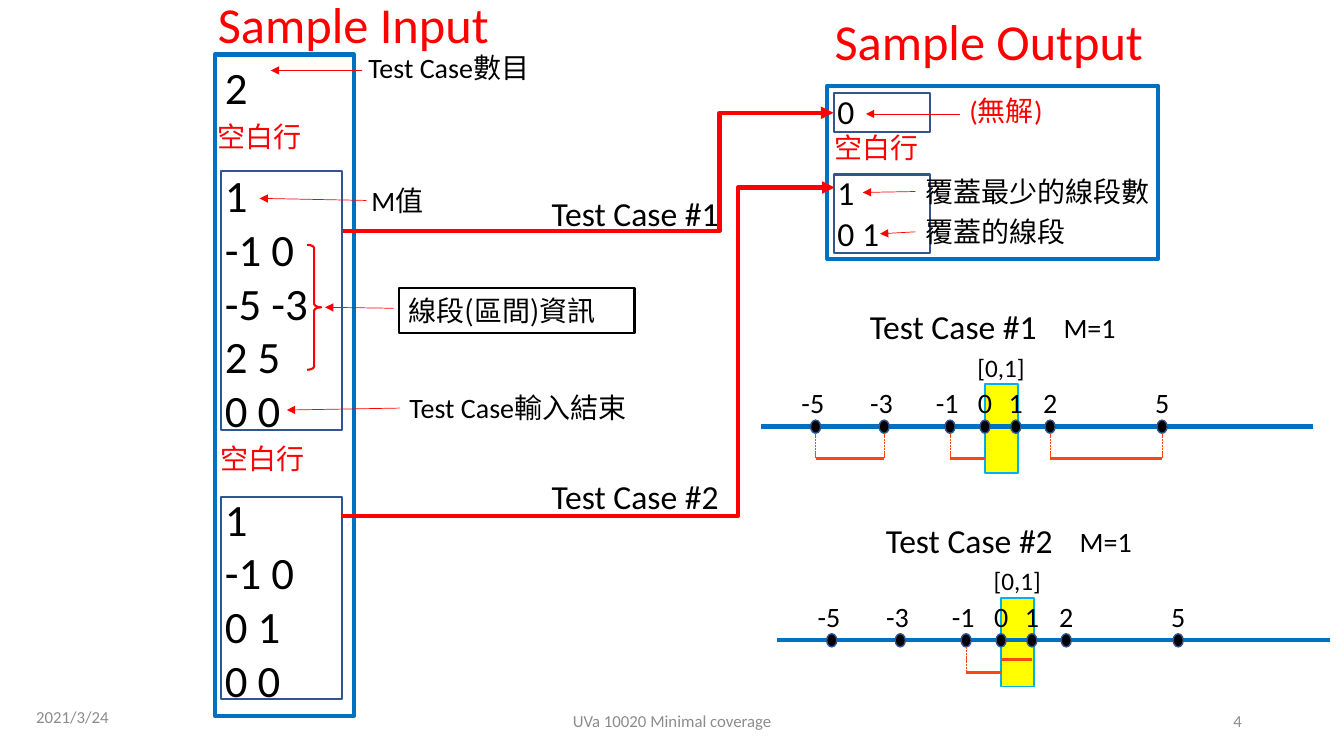
from lxml.etree import SubElement
from pptx import Presentation
from pptx.dml.color import RGBColor
from pptx.enum.dml import MSO_LINE
from pptx.enum.shapes import MSO_CONNECTOR as Link, MSO_SHAPE as Preset
from pptx.enum.text import MSO_ANCHOR as Anchor, MSO_AUTO_SIZE as AutoSize, PP_ALIGN as Align
from pptx.oxml.ns import qn
from pptx.util import Pt

BLACK = RGBColor(0x00, 0x00, 0x00)
RED = RGBColor(0xFF, 0x00, 0x00)
BLUE = RGBColor(0x00, 0x70, 0xC0)
NAVY = RGBColor(0x32, 0x54, 0x91)
ORANGE = RGBColor(0xF7, 0x48, 0x11)
YELLOW = RGBColor(0xFF, 0xFF, 0x00)
CYAN = RGBColor(0x00, 0xB0, 0xF0)
GRAY = RGBColor(0x8C, 0x8C, 0x8C)
LATIN, CJK = "Calibri", "Noto Sans CJK SC"

# Distance of each marked value from the left end of a number line
TICKS = {-5: 39, -3: 88, -1: 135, 0: 160, 1: 182, 2: 206.5, 5: 286.5}


def place(part, x, y, w, h):
    part.left, part.top, part.width, part.height = Pt(x), Pt(y), Pt(w), Pt(h)


def add_run(paragraph, text, size, color):
    run = paragraph.add_run()
    run.text = text
    font = run.font
    font.size, font.bold = Pt(size), False
    font.color.rgb = color
    font.name = CJK if ord(text[0]) > 0x2E7F else LATIN
    SubElement(run._r.get_or_add_rPr(), qn("a:ea"), typeface=CJK)


def write(frame, runs, size, color, align=Align.LEFT, anchor=Anchor.TOP):
    frame.word_wrap = True
    frame.auto_size = AutoSize.NONE
    frame.vertical_anchor = anchor
    paragraph = frame.paragraphs[0]
    paragraph.alignment = align
    for text in runs:
        add_run(paragraph, text, size, color)


def add_text(slide, x, y, w, h, runs, size=20, color=BLACK, **layout):
    label = slide.shapes.add_textbox(Pt(x), Pt(y), Pt(w), Pt(h))
    write(label.text_frame, runs, size, color, **layout)
    return label


def outline(part, color, width):
    part.line.color.rgb = color
    part.line.width = Pt(width)


def add_preset(slide, preset, x, y, w, h, color, width, fill=None):
    part = slide.shapes.add_shape(preset, Pt(x), Pt(y), Pt(w), Pt(h))
    part.shadow.inherit = False
    outline(part, color, width)
    if fill is None:
        part.fill.background()
    else:
        part.fill.solid()
        part.fill.fore_color.rgb = fill
    return part


def add_line(slide, x1, y1, x2, y2, color=RED, width=0.5, arrow=False, dashed=False, bend=None):
    kind = Link.STRAIGHT if bend is None else Link.ELBOW
    line = slide.shapes.add_connector(kind, Pt(x1), Pt(y1), Pt(x2), Pt(y2))
    outline(line, color, width)
    if dashed:
        line.line.dash_style = MSO_LINE.SQUARE_DOT
    properties = line._element.spPr
    if arrow:
        SubElement(properties.find(qn("a:ln")), qn("a:tailEnd"), type="triangle")
    if bend is not None:
        share = round((bend - x1) / (x2 - x1) * 100000)
        guides = properties.find(qn("a:prstGeom")).find(qn("a:avLst"))
        SubElement(guides, qn("a:gd"), name="adj1", fmla=f"val {share}")
    SubElement(properties, qn("a:effectLst"))


def fill_list(body, rows, size, gap):
    """Rows without bullets; each new block of rows starts after a gap."""
    frame = body.text_frame
    frame.word_wrap = True
    frame.auto_size = AutoSize.NONE
    frame.vertical_anchor = Anchor.TOP
    first = True
    for block in rows:
        for i, text in enumerate(block):
            paragraph = frame.paragraphs[0] if first else frame.add_paragraph()
            properties = paragraph._p.get_or_add_pPr()
            properties.set("marL", "0")
            properties.set("indent", "0")
            SubElement(properties, qn("a:buNone"))
            paragraph.space_before = Pt(gap if i == 0 and not first else 0)
            add_run(paragraph, text, size, BLACK)
            first = False
    outline(body, BLUE, 3)


def sample_input(slide, title, body, x, y, w, h):
    place(title, x - 5, y - 47.6, 223, 51)
    write(title.text_frame, ["Sample Input"], 36, RED)
    place(body, x, y, w, h)
    fill_list(body, [["2"], ["1", "-1 0", "-5 -3", "2 5", "0 0"],
                     ["1", "-1 0", "0 1", "0 0"]], 32, 39)
    # Frames around the two test cases
    for top, height in ((83.4, 185), (316, 144.7)):
        add_preset(slide, Preset.RECTANGLE, x + 4.7, y + top, 86.4, height, NAVY, 1.5)
    brace = add_preset(slide, Preset.RIGHT_BRACE, x + 66, y + 136, 10, 89.3, RED, 1.5)
    brace.adjustments[0] = 0.24
    # Notes
    add_text(slide, x + 102.6, y - 6.6, 137, 32, ["Test Case", "數目"])
    add_text(slide, x + 104.8, y + 88.4, 54.7, 32, ["M", "值"])
    segments = add_text(slide, x + 131.4, y + 167, 168.5, 31.7, ["線段(區間)資訊"])
    outline(segments, BLACK, 1.5)
    add_text(slide, x + 132, y + 236.8, 171.4, 32, ["Test Case", "輸入結束"])
    for left, top in ((-5, 43), (-3, 272.8)):
        add_text(slide, x + left, y + top, 79, 32, ["空白行"], color=RED)
    for x1, y1, x2, y2 in ((105.5, 11.4, 40, 11.4), (108.4, 104.3, 32, 102.8),
                           (127.8, 181.3, 78.8, 180.6), (132, 252.6, 51.5, 254)):
        add_line(slide, x + x1, y + y1, x + x2, y + y2, arrow=True)


def sample_output(slide, body, x, y, w, h):
    add_text(slide, x - 2, y - 57.6, 245, 51, ["Sample Output"], 36, RED)
    place(body, x, y, w, h)
    fill_list(body, [["0"], ["1", "0 1"]], 24, 29.3)
    # Frames around the two answers
    for top, height in ((5, 28), (63.4, 56.2)):
        add_preset(slide, Preset.RECTANGLE, x + 4.7, y + top, 68.4, height, NAVY, 1.5)
    # Notes
    add_text(slide, x + 94.4, y + 2.2, 71.3, 32, ["(", "無解", ")"], color=RED)
    add_text(slide, x - 2, y + 28.8, 79, 32, ["空白行"], color=RED)
    add_text(slide, x + 62.8, y + 59.8, 178.6, 32, ["覆蓋最少的線段數"])
    add_text(slide, x + 62.8, y + 88.6, 168.5, 32, ["覆蓋的線段"])
    for x1, y1, x2, y2 in ((95, 20.2, 27.5, 20.2), (62.8, 75.6, 25.3, 76.3),
                           (62.8, 104.4, 37.6, 105.8)):
        add_line(slide, x + x1, y + y1, x + x2, y + y2, arrow=True)


def case_link(slide, name, x1, y1, x2, y2, bend, label_y):
    add_text(slide, 387, label_y, 135.4, 36, [name], 24)
    add_line(slide, x1, y1, x2, y2, width=3, arrow=True, bend=bend)


def number_line(slide, name, x, y, segments):
    """Segments are (start, end, drop below the axis, dashed ends)."""
    axis = y + 89.3
    add_text(slide, x + 70.6, y, 135.4, 36, [name], 24)
    add_text(slide, x + 209, y + 2.9, 52.6, 32, ["M=1"])
    # Covered interval
    start, end = x + TICKS[0], x + TICKS[1]
    add_preset(slide, Preset.RECTANGLE, start, axis - 30.2, end - start + 1.5, 63.4,
               CYAN, 1, YELLOW)
    add_text(slide, (start + end) / 2 - 27, axis - 56.8, 55, 32, ["[0,1]"], 18,
             align=Align.CENTER)
    # Axis with marked values
    add_line(slide, x, axis, x + 394.6, axis, BLUE, 3)
    for value, offset in TICKS.items():
        add_preset(slide, Preset.OVAL, x + offset - 3.6, axis - 4.5, 7.2, 9.4, NAVY, 1, BLACK)
        center = x + offset - (2 if value < 0 else 0)
        add_text(slide, center - 16, axis - 32.6, 32, 32, [str(value)], align=Align.CENTER)
    # Segments below the axis
    for first, last, drop, dashed_ends in segments:
        ends = x + TICKS[first], x + TICKS[last]
        add_line(slide, ends[0], axis + drop, ends[1], axis + drop, ORANGE, 2.25)
        for end in ends if dashed_ends else ():
            add_line(slide, end, axis + 5, end, axis + drop, ORANGE, dashed=True)


def footer(slide, y):
    for text, x, top, w, align in (("2021/3/24", 18.7, y - 3, 216, Align.LEFT),
                                   ("UVa 10020 Minimal coverage", 318.2, y, 324, Align.CENTER),
                                   ("4", 678.2, y, 216, Align.RIGHT)):
        add_text(slide, x, top, w, 28.8, [text], 12, GRAY, align=align, anchor=Anchor.MIDDLE)


def main():
    deck = Presentation()
    deck.slide_width, deck.slide_height = Pt(960), Pt(540)
    slide = deck.slides.add_slide(deck.slide_layouts[3])
    title, input_body, output_body = slide.placeholders
    sample_input(slide, title, input_body, 153.4, 38.9, 99.4, 472.3)
    sample_output(slide, output_body, 591, 61.2, 236.2, 123.8)
    case_link(slide, "Test Case #1", 244.8, 165, 595.4, 80.6, 514, 134)
    case_link(slide, "Test Case #2", 243.4, 368.6, 596.2, 134, 527, 336.2)
    number_line(slide, "Test Case #1", 543.6, 215.3,
                [(-5, -3, 23, True), (-1, 0, 23, True), (2, 5, 23, True)])
    number_line(slide, "Test Case #2", 555.1, 367.9,
                [(-1, 0, 23, True), (0, 1, 13.7, False)])
    footer(slide, 500.4)
    deck.save("out.pptx")


if __name__ == "__main__":
    main()
